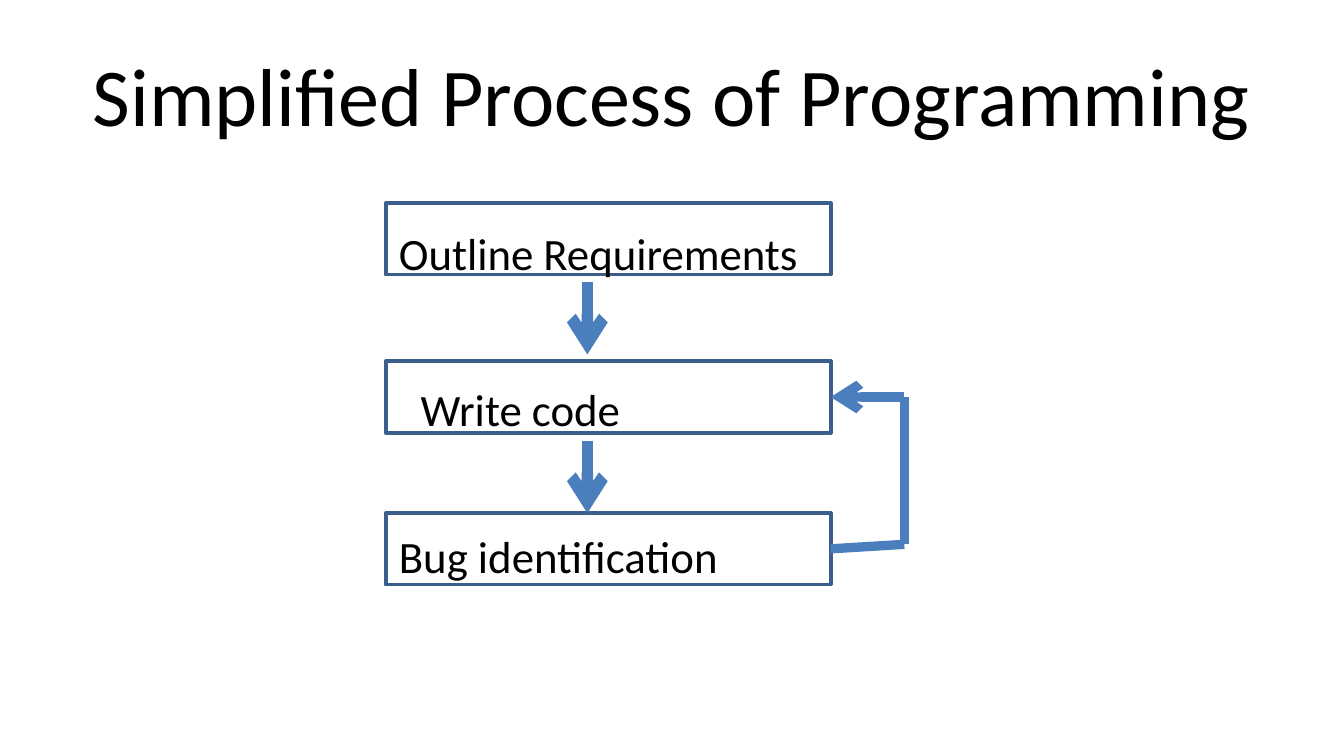
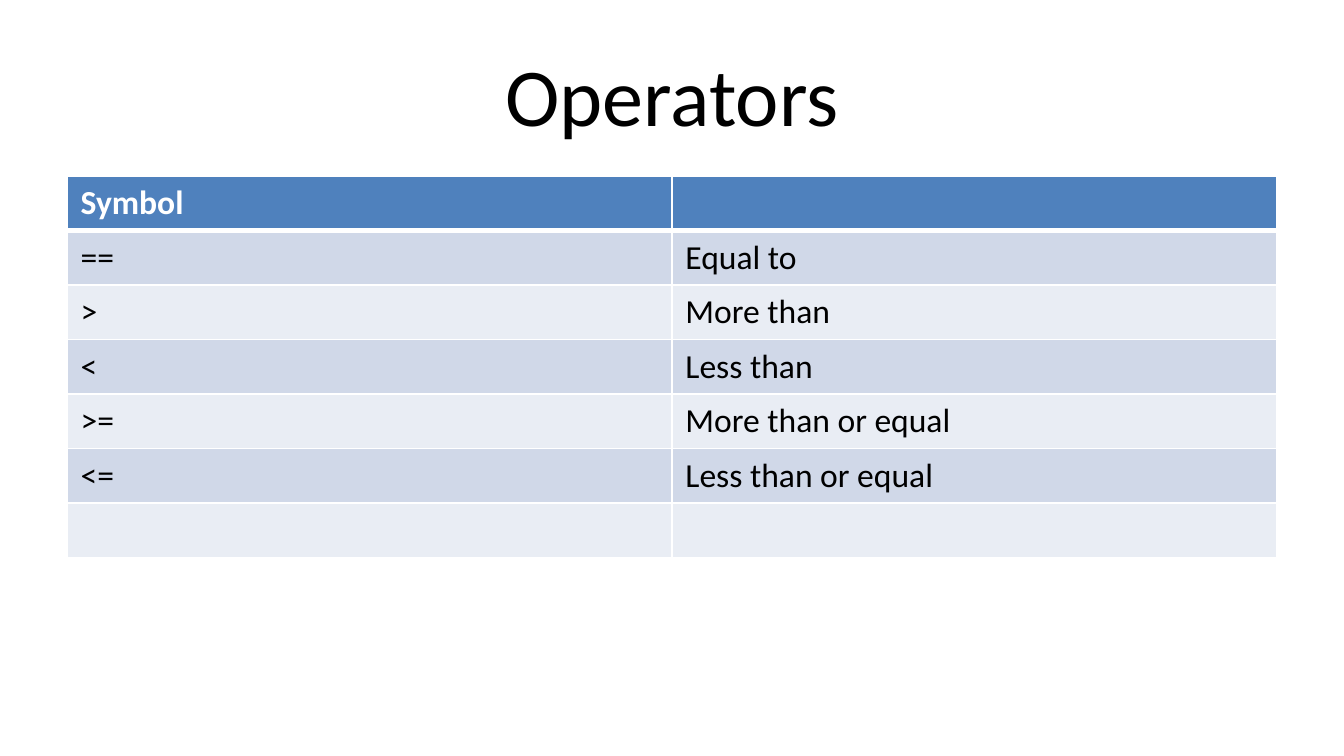
from dataclasses import dataclass

from lxml.etree import SubElement
from pptx import Presentation
from pptx.dml.color import RGBColor
from pptx.enum.shapes import MSO_CONNECTOR, MSO_SHAPE
from pptx.enum.text import MSO_ANCHOR, PP_ALIGN
from pptx.oxml.ns import qn
from pptx.util import Cm, Pt


@dataclass(frozen=True)
class Theme:
    font: str = "Calibri"
    text: str = "000000"
    white: str = "FFFFFF"
    outline: str = "3A5F8C"
    arrow: str = "4B7EBC"
    header: str = "4F81BD"
    bands: tuple = ("D0D8E8", "E9EDF4")
    title_size: int = 44
    step_size: int = 24
    table_size: int = 18


THEME = Theme()

PROCESS_TITLE = "Simplified Process of Programming"
# Step, top of its box, then left, top and width of its label (cm)
STEPS = [
    ("Outline Requirements", 3.84, (7.29, 4.14, 11.81)),
    ("Write code", 6.83, (7.7, 7.09, 8.41)),
    ("Bug identification", 9.7, (7.29, 9.86, 8.41)),
]
BOX_LEFT, BOX_WIDTH, BOX_HEIGHT = 7.29, 8.41, 1.35
LABEL_HEIGHT = 1.27
DOWN_X, DOWN_LENGTH, DOWN_TOPS = 11.1, 1.37, (5.33, 8.33)
LOOP_X, LOOP_BOTTOM = 17.09, 10.29

OPERATORS_TITLE = "Operators"
OPERATORS = [
    ("Symbol", ""),
    ("==", "Equal to"),
    (">", "More than"),
    ("<", "Less than"),
    (">=", "More than or equal"),
    ("<=", "Less than or equal"),
    ("", ""),
]
TABLE_LEFT, TABLE_TOP, TABLE_WIDTH, ROW_HEIGHT = 1.27, 3.33, 22.86, 1.03


def rgb(color):
    return RGBColor.from_string(color)


def write(tf, text, size, color=THEME.text, bold=False):
    tf.text = text
    for r in tf.paragraphs[0].runs:
        r.font.name = THEME.font
        r.font.size = Pt(size)
        r.font.bold = bold
        r.font.color.rgb = rgb(color)


def add_text(s, text, left, top, width, height, size):
    tf = s.shapes.add_textbox(Cm(left), Cm(top), Cm(width), Cm(height)).text_frame
    tf.word_wrap = True
    write(tf, text, size)
    return tf


def add_titled_slide(prs, title):
    s = prs.slides.add_slide(prs.slide_layouts[6])
    tf = add_text(s, title, 1.27, 0.58, 22.86, 2.39, THEME.title_size)
    tf.vertical_anchor = MSO_ANCHOR.MIDDLE
    tf.paragraphs[0].alignment = PP_ALIGN.CENTER
    return s


def add_box(s, top):
    sp = s.shapes.add_shape(MSO_SHAPE.RECTANGLE, Cm(BOX_LEFT), Cm(top),
                            Cm(BOX_WIDTH), Cm(BOX_HEIGHT))
    sp.shadow.inherit = False
    sp.fill.background()
    sp.line.color.rgb = rgb(THEME.outline)
    sp.line.width = Pt(2)
    return sp


def add_line(s, start, end, width, arrow=False):
    line = s.shapes.add_connector(MSO_CONNECTOR.STRAIGHT, *map(Cm, start + end))
    line.line.color.rgb = rgb(THEME.arrow)
    line.line.width = Pt(width)
    if arrow:
        SubElement(line.line._get_or_add_ln(), qn("a:tailEnd"), type="arrow")
    SubElement(line._element.spPr, qn("a:effectLst"))
    return line


def set_borders(cell, top, bottom):
    """Draw white cell borders; side borders are 1 pt."""
    tcPr = cell._tc.get_or_add_tcPr()
    for side, width in (("L", 1), ("R", 1), ("T", top), ("B", bottom)):
        ln = SubElement(tcPr, qn(f"a:ln{side}"), w=str(Pt(width)))
        fill = SubElement(ln, qn("a:solidFill"))
        SubElement(fill, qn("a:srgbClr"), val=THEME.white)


def build_process(prs):
    s = add_titled_slide(prs, PROCESS_TITLE)
    boxes = []
    for text, top, (left, label_top, width) in STEPS:
        boxes.append(add_box(s, top))
        add_text(s, text, left, label_top, width, LABEL_HEIGHT, THEME.step_size)

    for top in DOWN_TOPS:
        add_line(s, (DOWN_X, top), (DOWN_X, top + DOWN_LENGTH), 6.25, arrow=True)

    # Loop from bug identification back to writing code
    right = BOX_LEFT + BOX_WIDTH
    code_y, bug_y = (top + BOX_HEIGHT / 2 for _, top, _ in STEPS[1:])
    low, high = (LOOP_X, LOOP_BOTTOM), (LOOP_X, code_y)
    add_line(s, (right, bug_y), low, 5).begin_connect(boxes[2], 3)
    add_line(s, low, high, 5)
    add_line(s, high, (right, code_y), 5, arrow=True).end_connect(boxes[1], 3)


def build_operators(prs):
    s = add_titled_slide(prs, OPERATORS_TITLE)
    rows, cols = len(OPERATORS), len(OPERATORS[0])
    table = s.shapes.add_table(rows, cols, Cm(TABLE_LEFT), Cm(TABLE_TOP),
                               Cm(TABLE_WIDTH), Cm(ROW_HEIGHT * rows)).table
    for i, row in enumerate(OPERATORS):
        header = i == 0
        fill = THEME.header if header else THEME.bands[(i - 1) % 2]
        color = THEME.white if header else THEME.text
        for j, text in enumerate(row):
            cell = table.cell(i, j)
            write(cell.text_frame, text, THEME.table_size, color, bold=header)
            set_borders(cell, top=3 if i == 1 else 1, bottom=3 if header else 1)
            cell.fill.solid()
            cell.fill.fore_color.rgb = rgb(fill)


def main():
    prs = Presentation()
    prs.slide_width, prs.slide_height = Cm(25.4), Cm(14.29)
    build_process(prs)
    build_operators(prs)
    prs.save("out.pptx")


if __name__ == "__main__":
    main()
